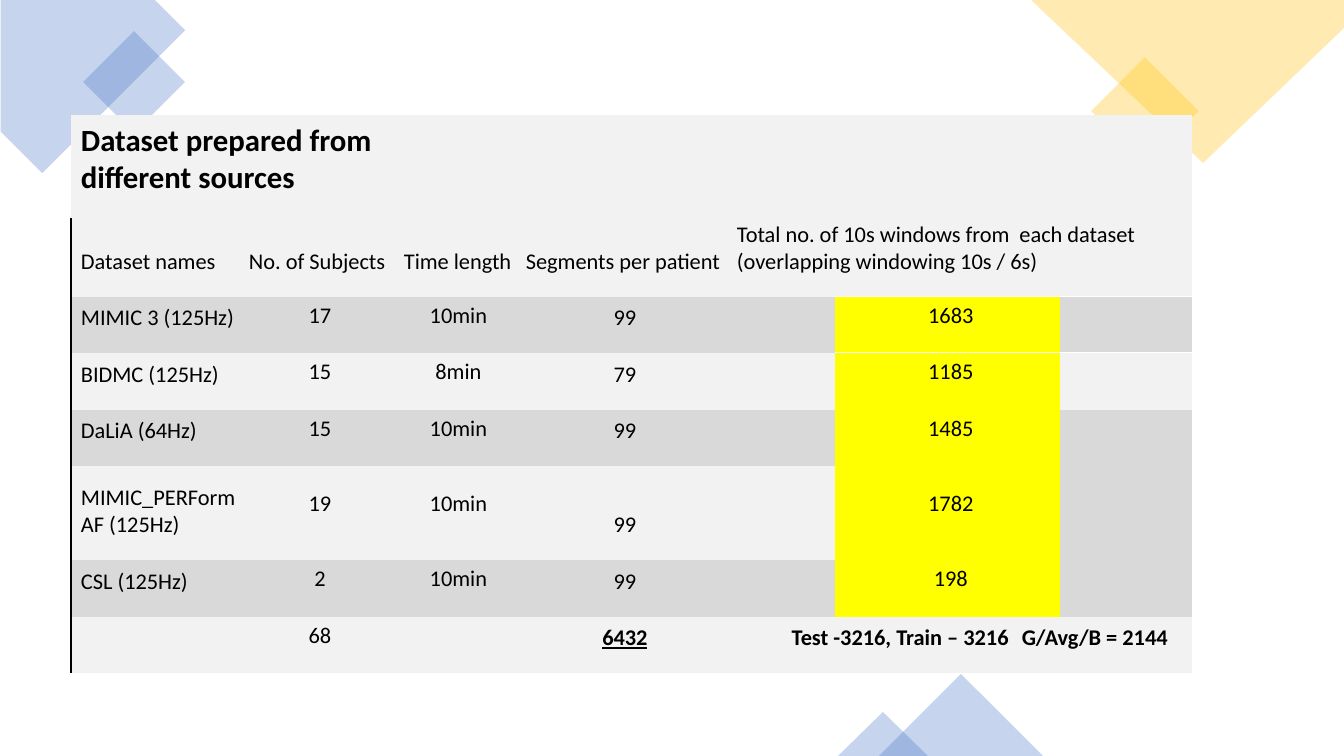
from lxml import etree
from pptx import Presentation
from pptx import util as u
from pptx.dml.color import RGBColor
from pptx.enum import shapes, text
from pptx.oxml import ns

PX = 12192000 / 1344
BLUE, YELLOW = "4472C4", "FFC000"
LIGHT, GREY, HIGHLIGHT = "F2F2F2", "D9D9D9", "FFFF00"
BLACK, WHITE = "000000", "FFFFFF"
NO_STYLE = "{2D5ABB26-0587-4C30-8999-92F81FD0307C}"
LEFT, CENTER, RIGHT = text.PP_ALIGN.LEFT, text.PP_ALIGN.CENTER, text.PP_ALIGN.RIGHT
MIDDLE, BOTTOM = text.MSO_ANCHOR.MIDDLE, text.MSO_ANCHOR.BOTTOM

COLUMNS = [168, 155, 122, 172, 39, 24, 84, 93, 84, 48, 81, 51]
ROWS = [103, 78, 56, 57, 56, 94, 57, 56]
TITLE_SPANS = [2, 1, 1, 2, 1, 1, 1, 2, 1]
HEADINGS = [
    ("Dataset names", 1), ("No. of Subjects", 1), ("Time length", 1),
    ("Segments per patient", 2),
    ("Total no. of 10s windows from  each dataset (overlapping windowing 10s / 6s)", 6),
    ("", 1),
]
DATASETS = [
    # name, subjects, time, segments, windows, row fill, fill of last cell
    ("MIMIC 3 (125Hz)", "17", "10min", "99", "1683", GREY, GREY),
    ("BIDMC (125Hz)", "15", "8min", "79", "1185", LIGHT, LIGHT),
    ("DaLiA (64Hz)", "15", "10min", "99", "1485", GREY, GREY),
    ("MIMIC_PERForm AF (125Hz)", "19", "10min", "99", "1782", LIGHT, GREY),
    ("CSL (125Hz)", "2", "10min", "99", "198", GREY, GREY),
]


def px(length):
    return u.Emu(round(length * PX))


def color(value):
    return RGBColor.from_string(value)


def tint(shape, value):
    """Fill a corner shape with a 30 % opaque colour and no outline."""
    shape.shadow.inherit = False
    shape.line.fill.background()
    shape.fill.solid()
    shape.fill.fore_color.rgb = color(value)
    rgb = shape.fill._xPr.find(".//" + ns.qn("a:srgbClr"))
    etree.SubElement(rgb, ns.qn("a:alpha"), val="30000")


def add_preset(page, kind, box, value, rotation=0):
    shape = page.shapes.add_shape(kind, *map(px, box))
    shape.rotation = rotation
    tint(shape, value)


def add_outline(page, left, top, points, value, rotation):
    builder = page.shapes.build_freeform(*points[0], scale=PX)
    builder.add_line_segments(points[1:], close=True)
    shape = builder.convert_to_shape(px(left), px(top))
    shape.rotation = rotation
    tint(shape, value)


def draw_corners(page, width, height):
    square = shapes.MSO_SHAPE.RECTANGLE
    triangle = shapes.MSO_SHAPE.ISOSCELES_TRIANGLE
    # Top left
    add_outline(page, -41, -28,
                [(202, 109), (93, 0), (0, 93), (0, 152), (202, 152)], BLUE, 315)
    add_preset(page, square, (98, 46, 72, 72), BLUE, 315)
    # Top right
    add_preset(page, square, (width - 237, 73, 76, 76), YELLOW, 315)
    add_outline(page, width - 313, 0,
                [(0, 163), (313, 163), (141, 0), (0, 135)], YELLOW, 180)
    # Bottom edge
    for left, base, rise in ((879, 164, 82), (838, 90, 44)):
        add_preset(page, triangle, (left, height - rise, base, rise), BLUE)


def add_border(cell, side, value):
    line = etree.Element(ns.qn("a:" + side), w=str(u.Pt(1)))
    fill = etree.SubElement(line, ns.qn("a:solidFill"))
    etree.SubElement(fill, ns.qn("a:srgbClr"), val=value)
    cell._tc.get_or_add_tcPr().insert(0, line)


def put(table, row, column, words="", span=1, fill=LIGHT, align=LEFT,
        anchor=BOTTOM, size=16, bold=False, underline=False):
    """Write one cell and return it; span counts columns."""
    cell = table.cell(row, column)
    if span > 1:
        cell.merge(table.cell(row, column + span - 1))
    cell.fill.solid()
    cell.fill.fore_color.rgb = color(fill)
    cell.margin_left, cell.margin_top = px(10), px(3)
    cell.margin_right, cell.margin_bottom = px(3), px(21)
    cell.vertical_anchor = anchor
    para = cell.text_frame.paragraphs[0]
    para.alignment = align
    if words:
        span_run = para.add_run()
        span_run.text = words
        font = span_run.font
        font.name, font.size, font.bold = "Calibri", u.Pt(size), bold
        font.underline = underline
        font.color.rgb = color(BLACK)
    return cell


def fill_head(table):
    column = 0
    for span in TITLE_SPANS:
        words = "" if column else "Dataset prepared from different sources"
        put(table, 0, column, words, span, size=22, bold=True)
        column += span
    column = 0
    for words, span in HEADINGS:
        put(table, 1, column, words, span)
        column += span


def fill_dataset(table, row, dataset):
    name, subjects, time, segments, windows, fill, last_fill = dataset
    put(table, row, 0, name, fill=fill)
    put(table, row, 1, subjects, 1, fill, CENTER, MIDDLE)
    put(table, row, 2, time, 1, fill, CENTER, MIDDLE)
    put(table, row, 3, segments, 2, fill, CENTER)
    put(table, row, 5, span=2, fill=fill)
    total = put(table, row, 7, windows, 3, HIGHLIGHT, CENTER, MIDDLE)
    last = put(table, row, 10, span=2, fill=last_fill)
    if row == 2:
        for cell in (total, last):
            add_border(cell, "lnT", WHITE)


def fill_totals(table, row):
    put(table, row, 0)
    put(table, row, 1, "68", align=CENTER, anchor=MIDDLE)
    put(table, row, 2)
    put(table, row, 3, "6432", 2, align=CENTER, bold=True, underline=True)
    put(table, row, 5, "Test -3216, Train – 3216", 4, align=RIGHT, bold=True)
    put(table, row, 9, "G/Avg/B = 2144", 3, bold=True)


def draw_table(page, left, top):
    box = (left, top, sum(COLUMNS), sum(ROWS))
    frame = page.shapes.add_table(len(ROWS), len(COLUMNS), *map(px, box))
    table = frame.table
    table.first_row = table.horz_banding = False
    table._tbl.tblPr.find(ns.qn("a:tableStyleId")).text = NO_STYLE
    for column, width in zip(table.columns, COLUMNS):
        column.width = px(width)
    for row, height in zip(table.rows, ROWS):
        row.height = px(height)

    fill_head(table)
    for row, dataset in enumerate(DATASETS, start=2):
        fill_dataset(table, row, dataset)
    fill_totals(table, len(ROWS) - 1)
    # Rule down the left side, below the title
    for row in range(1, len(ROWS)):
        add_border(table.cell(row, 0), "lnL", BLACK)


def main():
    deck = Presentation()
    width, height = 1344, 756
    deck.slide_width, deck.slide_height = px(width), px(height)
    page = deck.slides.add_slide(deck.slide_layouts[6])
    draw_corners(page, width, height)
    draw_table(page, 71, 115)
    deck.save("out.pptx")


if __name__ == "__main__":
    main()
